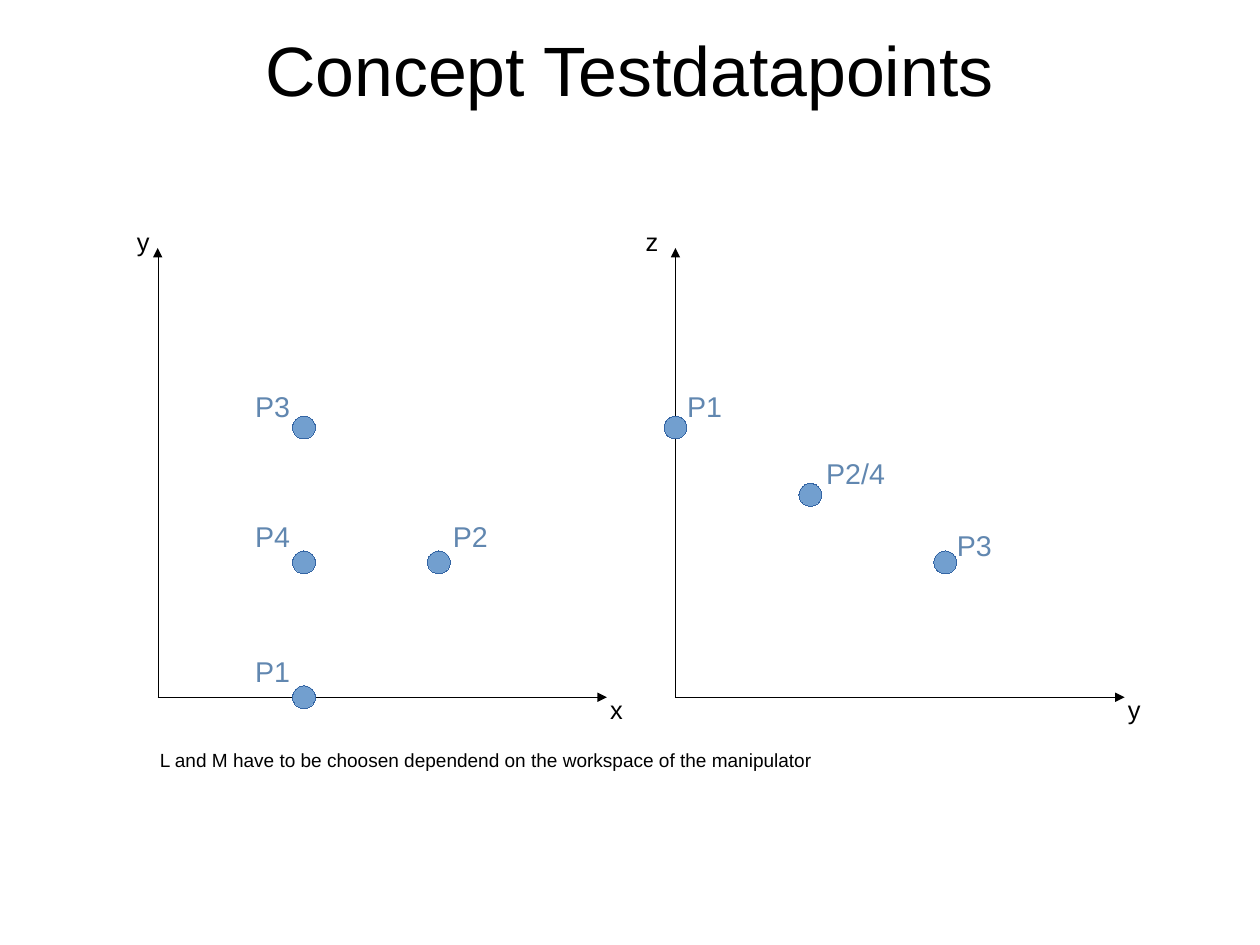
"""Build the slide with the test data points in two coordinate planes."""
from dataclasses import dataclass

from lxml import etree
from pptx import Presentation
from pptx.dml.color import RGBColor
from pptx.enum import shapes, text
from pptx.oxml import ns
from pptx.util import Inches, Pt


@dataclass(frozen=True)
class Theme:
    """Colours, font and type sizes of the slide."""
    font: str = "Arial"
    ink: str = "000000"
    label: str = "6187B0"
    point_fill: str = "729FCF"
    point_line: str = "3465A4"
    title_size: int = 44
    label_size: int = 18
    axis_size: int = 16
    note_size: int = 12


THEME = Theme()
SLIDE_WIDTH = 28 / 2.54
SLIDE_HEIGHT = 21 / 2.54
UNIT = 1.18
AXIS_LENGTH = 3.93
DIAMETER = 0.2
BASELINE = 6.1


def colour(value):
    """Turn a hexadecimal value into a colour."""
    return RGBColor.from_string(value)


def write(frame, content, size, ink=THEME.ink, align=text.PP_ALIGN.LEFT, wrap=True):
    """Put formatted text into a text frame."""
    frame.word_wrap = wrap
    frame.auto_size = text.MSO_AUTO_SIZE.SHAPE_TO_FIT_TEXT
    paragraph = frame.paragraphs[0]
    paragraph.text = content
    paragraph.alignment = align
    paragraph.font.name = THEME.font
    paragraph.font.size = Pt(size)
    paragraph.font.color.rgb = colour(ink)


def add_title(slide, content):
    """Move and format the title placeholder."""
    title = slide.shapes.title
    title.left, title.top = Inches(0.55), Inches(0.26)
    title.width, title.height = Inches(9.92), Inches(0.68)
    frame = title.text_frame
    frame.margin_left = frame.margin_right = frame.margin_top = frame.margin_bottom = 0
    frame.vertical_anchor = text.MSO_ANCHOR.MIDDLE
    write(frame, content, THEME.title_size, align=text.PP_ALIGN.CENTER)


def add_text(slide, left, top, width, height, content, size, **format_options):
    """Add a text box."""
    box = slide.shapes.add_textbox(Inches(left), Inches(top), Inches(width), Inches(height))
    write(box.text_frame, content, size, **format_options)


def set_hairline(shape, ink):
    """Give a shape the thinnest line and return the line element."""
    shape.line.color.rgb = colour(ink)
    line = shape._element.spPr.get_or_add_ln()
    line.set("w", "0")
    return line


def add_axis(slide, origin, end_x, end_y):
    """Draw a hairline arrow from the origin."""
    axis = slide.shapes.add_connector(
        shapes.MSO_CONNECTOR.STRAIGHT,
        Inches(origin), Inches(BASELINE), Inches(end_x), Inches(end_y))
    line = set_hairline(axis, THEME.ink)
    etree.SubElement(line, ns.qn("a:tailEnd"), type="triangle")
    etree.SubElement(axis._element.spPr, ns.qn("a:effectLst"))


def add_point(slide, x, y):
    """Draw a round marker centred on a position."""
    point = slide.shapes.add_shape(
        shapes.MSO_SHAPE.OVAL, Inches(x - DIAMETER / 2), Inches(y - DIAMETER / 2),
        Inches(DIAMETER), Inches(DIAMETER))
    point.shadow.inherit = False
    point.fill.solid()
    point.fill.fore_color.rgb = colour(THEME.point_fill)
    set_hairline(point, THEME.point_line)


def add_plane(slide, origin, shift, horizontal, vertical, vertical_offset, points):
    """Draw axes, their names and the labelled points, given in grid units."""
    add_axis(slide, origin, origin + AXIS_LENGTH, BASELINE)
    add_axis(slide, origin, origin, BASELINE - AXIS_LENGTH)
    for name, left, top in ((horizontal, origin + 3.86, 6.02),
                            (vertical, origin - vertical_offset, 1.93)):
        add_text(slide, left, top, 0.35, 0.35, name, THEME.axis_size)
    for name, column, row, offset_x, offset_y in points:
        x = origin + shift + column * UNIT
        y = BASELINE - row * UNIT
        add_point(slide, x, y)
        width = 0.79 if "/" in name else 0.51
        add_text(slide, x + offset_x, y - offset_y, width, 0.38, name, THEME.label_size,
                 ink=THEME.label, align=text.PP_ALIGN.CENTER, wrap=False)


def main():
    """Create and save the presentation."""
    presentation = Presentation()
    presentation.slide_width = Inches(SLIDE_WIDTH)
    presentation.slide_height = Inches(SLIDE_HEIGHT)
    slide = presentation.slides.add_slide(presentation.slide_layouts[5])
    add_title(slide, "Concept Testdatapoints")
    add_plane(slide, 1.38, 1.28, "x", "y", 0.28, [
        ("P1", 0, 0, -0.53, 0.43),
        ("P2", 1, 1, 0.02, 0.43),
        ("P3", 0, 2, -0.53, 0.39),
        ("P4", 0, 1, -0.53, 0.43),
    ])
    add_plane(slide, 5.91, 0, "y", "z", 0.36, [
        ("P1", 0, 2, 0, 0.39),
        ("P2/4", 1, 1.5, 0, 0.39),
        ("P3", 2, 1, 0, 0.35),
    ])
    add_text(slide, 1.3, 6.5, 8.46, 0.29,
             "L and M have to be choosen dependend on the workspace of the manipulator",
             THEME.note_size)
    presentation.save("out.pptx")


if __name__ == "__main__":
    main()
